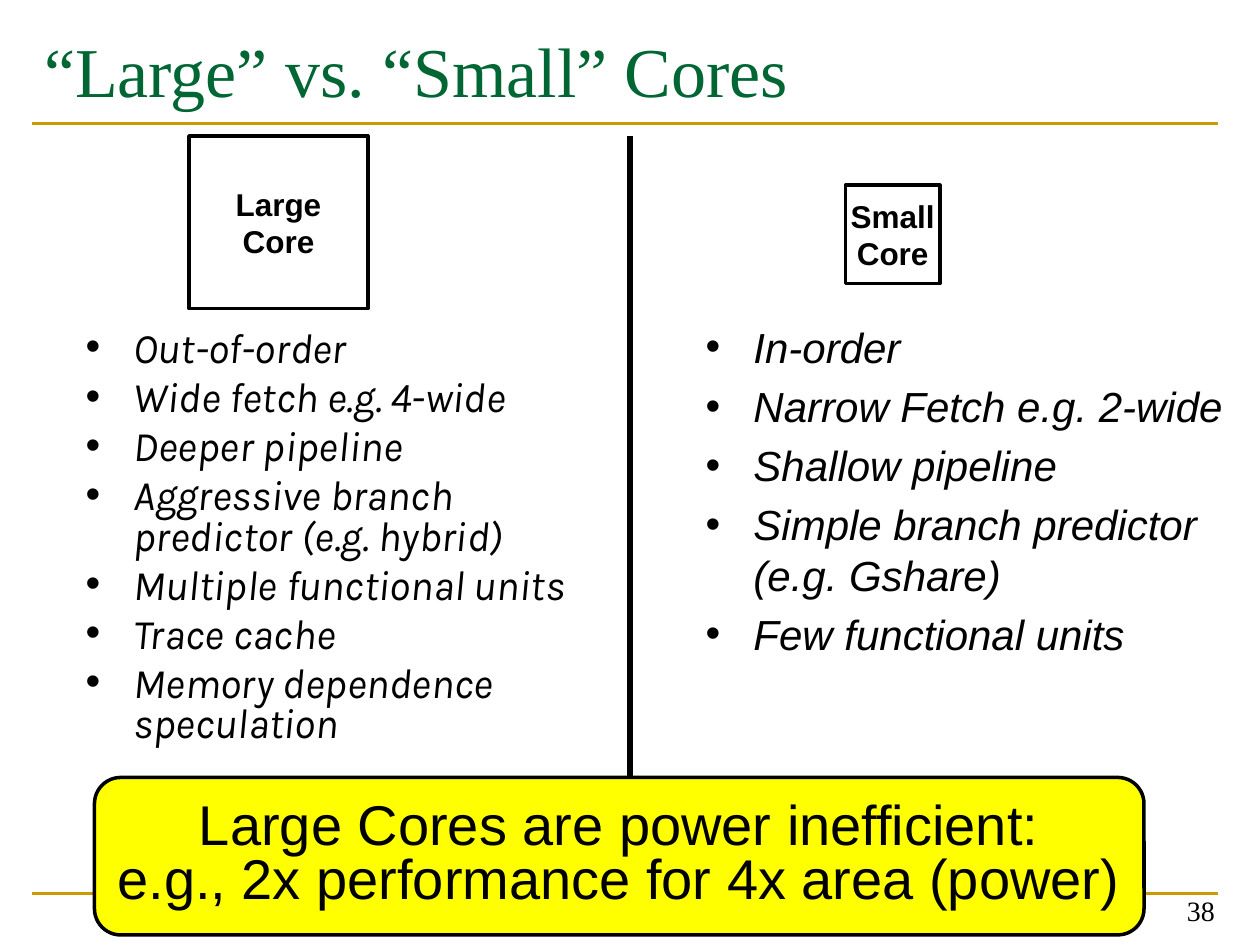
"""Build a slide comparing large and small processor cores."""
from lxml import etree
from pptx import Presentation
from pptx.dml.color import RGBColor
from pptx.enum import shapes, text
from pptx.oxml import ns
from pptx.util import Inches, Pt

BLACK = RGBColor(0x00, 0x00, 0x00)
GREEN = RGBColor(0x00, 0x66, 0x33)
GOLD = RGBColor(0xCC, 0x99, 0x00)
YELLOW = RGBColor(0xFF, 0xFF, 0x00)

TITLE = "“Large” vs. “Small” Cores"
TITLE_BOX = (0.25, 0.17, 9.42, 1.17)
PAGE_NUMBER = "38"
PAGE_NUMBER_BOX = (7.41, 6.91, 2.33, 0.5)
LISTS = [
    {"box": (0.58, 2.58, 4.17, 3.85), "font": "Karla", "spacing": 0.8,
     "items": ["Out-of-order", "Wide fetch e.g. 4-wide", "Deeper pipeline",
               "Aggressive branch predictor (e.g. hybrid)",
               "Multiple functional units", "Trace cache",
               "Memory dependence speculation"]},
    {"box": (5.5, 2.5, 4.5, 3), "font": "Arial", "spacing": 1.0,
     "items": ["In-order", "Narrow Fetch e.g. 2-wide", "Shallow pipeline",
               "Simple branch predictor (e.g. Gshare)",
               "Few functional units"]},
]
LINES = [
    ((0.25, 7.09, 9.67, 7.09), GOLD, 1.5),
    ((0.25, 0.98, 9.67, 0.98), GOLD, 1.5),
    ((5, 1.08, 5, 6.45), BLACK, 3),
]
CORES = [
    ("Large\nCore", (1.5, 1.08, 1.42, 1.37)),
    ("Small\nCore", (6.71, 1.47, 0.75, 0.78)),
]
CALLOUT = "Large Cores are power inefficient:\ne.g., 2x performance for 4x area (power)"
CALLOUT_BOX = (0.75, 6.17, 8.33, 1.25)
LIST_INDENT = Inches(0.38)


def place(shape, box):
    shape.left, shape.top, shape.width, shape.height = map(Inches, box)


def write(paragraph, words, font, size, color=BLACK, bold=False, italic=False,
          align=text.PP_ALIGN.LEFT):
    paragraph.text = words
    paragraph.alignment = align
    for run in paragraph.runs:
        run.font.name = font
        run.font.size = Pt(size)
        run.font.color.rgb = color
        run.font.bold = bold
        run.font.italic = italic


def add_bullet(paragraph):
    properties = paragraph._p.get_or_add_pPr()
    properties.set("marL", str(LIST_INDENT))
    properties.set("indent", str(-LIST_INDENT))
    etree.SubElement(properties, ns.qn("a:buChar")).set("char", "•")


def fill_list(placeholder, content):
    place(placeholder, content["box"])
    frame = placeholder.text_frame
    frame.auto_size = text.MSO_AUTO_SIZE.NONE
    frame.text = "\n".join(content["items"])
    for paragraph, item in zip(frame.paragraphs, content["items"]):
        write(paragraph, item, content["font"], 24, italic=True)
        paragraph.line_spacing = content["spacing"]
        paragraph.space_before = Pt(5)
        add_bullet(paragraph)


def add_line(slide, ends, color, width):
    line = slide.shapes.add_connector(
        shapes.MSO_CONNECTOR.STRAIGHT, *map(Inches, ends))
    line.line.color.rgb = color
    line.line.width = Pt(width)
    etree.SubElement(line._element.spPr, ns.qn("a:effectLst"))


def add_box(slide, preset, box, words, size, bold=False, fill=None):
    shape = slide.shapes.add_shape(preset, *map(Inches, box))
    shape.shadow.inherit = False
    if fill is None:
        shape.fill.background()
    else:
        shape.fill.solid()
        shape.fill.fore_color.rgb = fill
    shape.line.color.rgb = BLACK
    shape.line.width = Pt(2)
    frame = shape.text_frame
    frame.word_wrap = False
    frame.vertical_anchor = text.MSO_ANCHOR.MIDDLE
    write(frame.paragraphs[0], words, "Arial", size, bold=bold,
          align=text.PP_ALIGN.CENTER)
    return shape


def main():
    presentation = Presentation()
    presentation.slide_width, presentation.slide_height = Inches(10), Inches(7.5)
    slide = presentation.slides.add_slide(presentation.slide_layouts[3])

    title = slide.shapes.title
    place(title, TITLE_BOX)
    title.text_frame.auto_size = text.MSO_AUTO_SIZE.NONE
    title.text_frame.vertical_anchor = text.MSO_ANCHOR.TOP
    write(title.text_frame.paragraphs[0], TITLE, "Times New Roman", 40, GREEN)

    for index, content in enumerate(LISTS, start=1):
        fill_list(slide.placeholders[index], content)
    for ends, color, width in LINES:
        add_line(slide, ends, color, width)

    number = slide.shapes.add_textbox(*map(Inches, PAGE_NUMBER_BOX)).text_frame
    number.word_wrap = True
    number.vertical_anchor = text.MSO_ANCHOR.BOTTOM
    write(number.paragraphs[0], PAGE_NUMBER, "Times New Roman", 16,
          align=text.PP_ALIGN.RIGHT)

    for words, box in CORES:
        add_box(slide, shapes.MSO_SHAPE.RECTANGLE, box, words, 18, bold=True)
    callout = add_box(slide, shapes.MSO_SHAPE.FLOWCHART_ALTERNATE_PROCESS,
                      CALLOUT_BOX, CALLOUT, 32, fill=YELLOW)
    paragraph = callout.text_frame.paragraphs[0]
    paragraph.line_spacing = 0.8
    paragraph.space_before = Pt(6.4)

    presentation.save("out.pptx")


if __name__ == "__main__":
    main()
